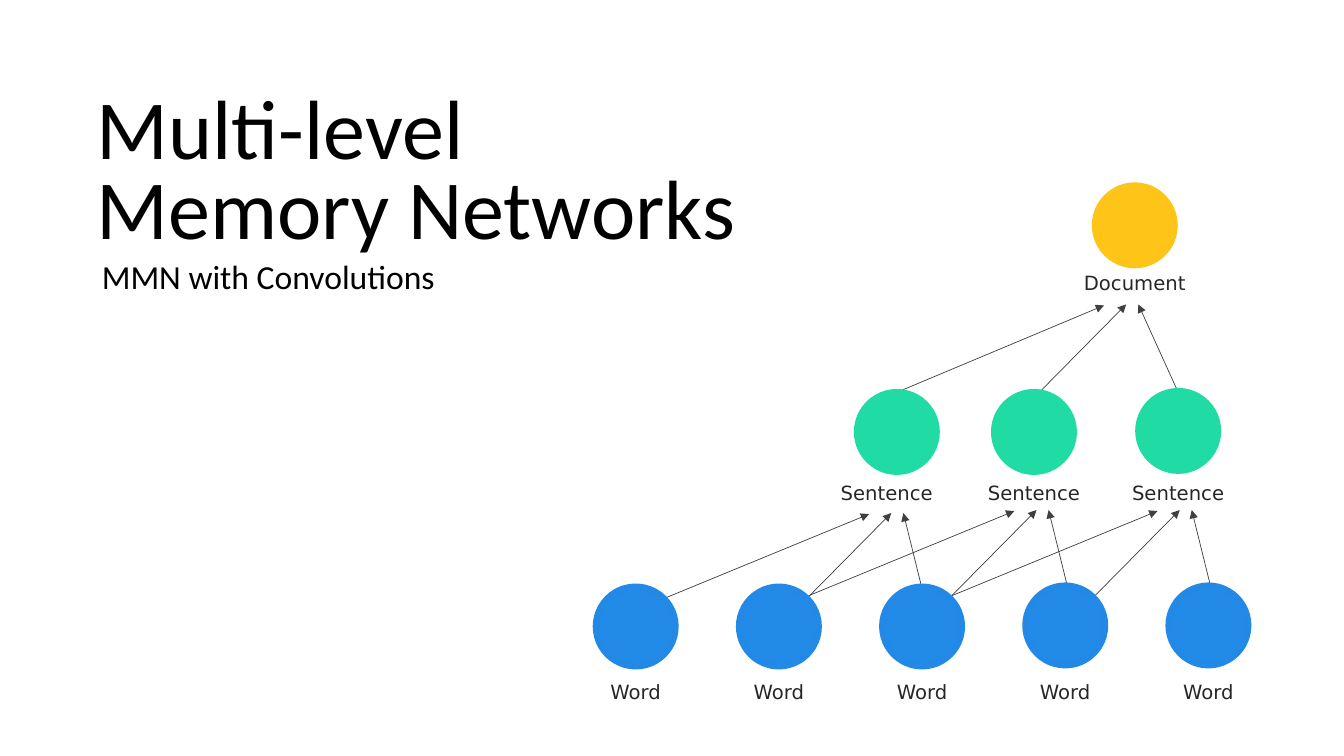
import pptx
import pptx.dml.color
import pptx.enum.shapes
import pptx.enum.text
import pptx.oxml.ns
import pptx.util
from lxml import etree

TITLE = "Multi-level\vMemory Networks"
SUBTITLE = "MMN with Convolutions"
BLACK, LABEL_COLOUR, ARROW_COLOUR = "000000", "262626", "404040"
DIAMETER = 0.79

# Levels of the hierarchy: label, fill, outline, label top, label width,
# then the (centre x, circle top) of each node
WORD_LEFT, WORD_STEP = 6.305, 1.42
LEVELS = [
    ("Word", "228AE7", "228AE6", 6.7, 1.15,
     [(WORD_LEFT + WORD_STEP * i, 5.82 if i < 3 else 5.81) for i in range(5)]),
    ("Sentence", "20DBA3", "20DBA3", 4.72, 1.15,
     [(8.895, 3.89), (10.255, 3.89), (11.685, 3.88)]),
    ("Document", "FEC518", "FEC518", 2.64, 1.28, [(11.255, 1.84)]),
]
SENTENCE_LABEL_SHIFT = [-0.1, 0, 0]

# Each sentence takes the same fan of three arrows, shifted
WORD_FAN = [((6.58, 5.94), (8.62, 5.1)),
            ((8, 5.94), (8.84, 5.09)),
            ((9.14, 5.82), (8.96, 5.09))]
FAN_SHIFTS = [(0, 0), (1.44, -0.03), (2.86, -0.03)]
SENTENCE_FAN = [((8.9, 3.89), (10.95, 3.03)),
                ((10.33, 3.87), (11.17, 3.02)),
                ((11.68, 3.88), (11.29, 3.02))]


def inches(*lengths):
    return [pptx.util.Inches(v) for v in lengths]


def rgb(value):
    return pptx.dml.color.RGBColor.from_string(value)


def write(s, text, size, font, colour, align, spacing=None):
    tf = s.text_frame
    tf.text = text
    tf.word_wrap = True
    tf.auto_size = pptx.enum.text.MSO_AUTO_SIZE.NONE
    tf.vertical_anchor = pptx.enum.text.MSO_ANCHOR.TOP
    p = tf.paragraphs[0]
    p.alignment = align
    p.space_before = pptx.util.Pt(0)
    p.line_spacing = spacing or 1.0
    for r in p.runs:
        r.font.size = pptx.util.Pt(size)
        r.font.name = font
        r.font.color.rgb = rgb(colour)


def place(s, *box):
    s.left, s.top, s.width, s.height = inches(*box)


def add_arrow(shapes, start, end):
    s = shapes.add_connector(pptx.enum.shapes.MSO_CONNECTOR.STRAIGHT,
                             *inches(*start, *end))
    s.line.color.rgb = rgb(ARROW_COLOUR)
    s.line.width = pptx.util.Pt(0.5)
    qn = pptx.oxml.ns.qn
    etree.SubElement(s.line._get_or_add_ln(), qn("a:tailEnd"), type="triangle")
    etree.SubElement(s._element.spPr, qn("a:effectLst"))


def add_circle(shapes, centre, top, fill, outline):
    s = shapes.add_shape(pptx.enum.shapes.MSO_SHAPE.OVAL,
                         *inches(centre - DIAMETER / 2, top, DIAMETER, DIAMETER))
    s.shadow.inherit = False
    s.fill.solid()
    s.fill.fore_color.rgb = rgb(fill)
    s.line.color.rgb = rgb(outline)
    s.line.width = pptx.util.Pt(4.5)


def main():
    prs = pptx.Presentation()
    prs.slide_width, prs.slide_height = inches(13.33, 7.5)
    slide = prs.slides.add_slide(prs.slide_layouts[0])
    shapes = slide.shapes
    align = pptx.enum.text.PP_ALIGN

    title, subtitle = slide.placeholders
    place(title, 0.86, 0.89, 6.69, 1.74)
    write(title, TITLE, 60, "Calibri", BLACK, align.LEFT, 0.8)
    place(subtitle, 0.91, 2.49, 3.94, 0.5)
    write(subtitle, SUBTITLE, 24, "Calibri", BLACK, align.LEFT)

    for dx, dy in FAN_SHIFTS:
        for (x1, y1), (x2, y2) in WORD_FAN:
            add_arrow(shapes, (x1 + dx, y1 + dy), (x2 + dx, y2 + dy))
    for start, end in SENTENCE_FAN:
        add_arrow(shapes, start, end)

    for label, fill, outline, label_top, width, nodes in LEVELS:
        shifts = SENTENCE_LABEL_SHIFT if label == "Sentence" else [0] * len(nodes)
        for (centre, top), shift in zip(nodes, shifts):
            add_circle(shapes, centre, top, fill, outline)
            s = shapes.add_textbox(
                *inches(centre + shift - width / 2, label_top, width, 0.34))
            write(s, label, 14, "DejaVu Sans", LABEL_COLOUR, align.CENTER)

    prs.save("out.pptx")


if __name__ == "__main__":
    main()
